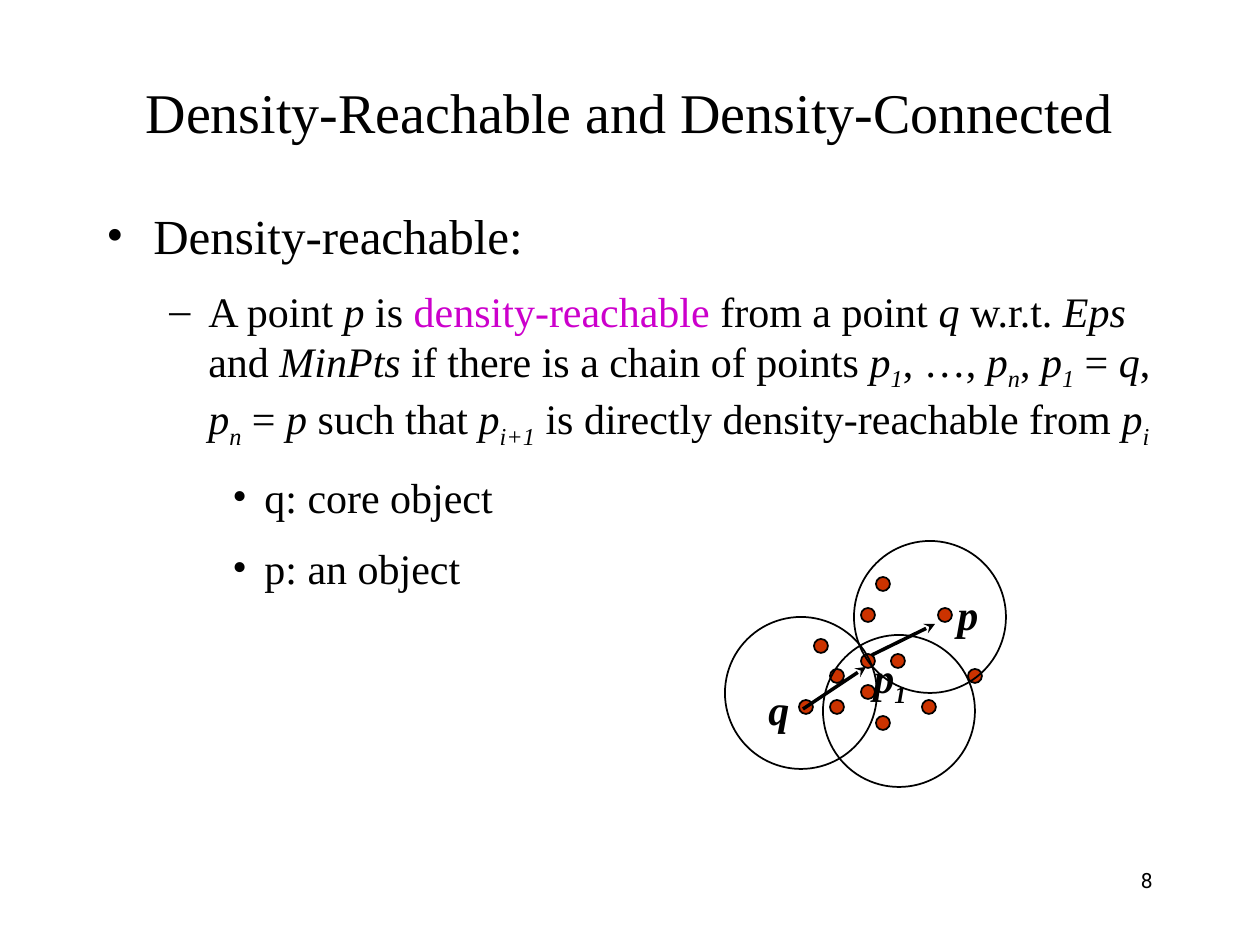
from dataclasses import dataclass

from lxml.etree import SubElement
from pptx import Presentation
from pptx.dml.color import RGBColor
from pptx.enum.shapes import MSO_CONNECTOR, MSO_SHAPE
from pptx.enum.text import MSO_ANCHOR, PP_ALIGN
from pptx.oxml.ns import qn
from pptx.util import Pt


@dataclass(frozen=True)
class Theme:
    ink: str = "000000"
    accent: str = "CC00CC"
    dot: str = "CC3300"
    serif: str = "Times New Roman"
    sans: str = "Roboto"
    title: int = 32
    heading: int = 28
    body: int = 24
    number: int = 12


THEME = Theme()
MARKS = {"*": "italic", "~": "sub", "^": "accent"}


def px(length):
    return round(length * 914400 / 126)


def split_marks(text):
    active, buffer = set(), ""
    for char in text:
        if char in MARKS:
            if buffer:
                yield buffer, set(active)
            active ^= {MARKS[char]}
            buffer = ""
        else:
            buffer += char
    if buffer:
        yield buffer, active


def write(p, text, size=THEME.body, font=THEME.serif, bold=False, align=PP_ALIGN.LEFT,
          spaced=False, bullet=None, level=0, margin=0, hanging=0):
    p.alignment, p.level = align, level
    pPr = p._p.get_or_add_pPr()
    if spaced:
        before = SubElement(pPr, qn("a:spcBef"))
        SubElement(before, qn("a:spcPct")).set("val", "50000")
    if bullet:
        pPr.set("marL", str(px(margin)))
        pPr.set("indent", str(-px(hanging)))
        SubElement(pPr, qn("a:buFont")).set("typeface", font)
        SubElement(pPr, qn("a:buChar")).set("char", bullet)
    for part, marks in split_marks(text):
        r = p.add_run()
        r.text = part
        r.font.size, r.font.name = Pt(size), font
        r.font.bold, r.font.italic = bold, "italic" in marks
        color = THEME.accent if "accent" in marks else THEME.ink
        r.font.color.rgb = RGBColor.from_string(color)
        if "sub" in marks:
            r.font._element.set("baseline", "-25000")


class SlideBuilder:
    """Draws text, circles and arrows on the current slide in one theme."""

    def __init__(self, slide, theme):
        self.shapes, self.theme = slide.shapes, theme

    def text(self, x, y, w, h, *paragraphs, anchor=MSO_ANCHOR.TOP):
        tf = self.shapes.add_textbox(px(x), px(y), px(w), px(h)).text_frame
        tf.word_wrap, tf.vertical_anchor = True, anchor
        for i, (content, style) in enumerate(paragraphs):
            write(tf.add_paragraph() if i else tf.paragraphs[0], content, **style)

    def label(self, x, y, w, content):
        self.text(x, y, w, 63, (content, dict(bold=True, spaced=True)))

    def circle(self, x, y, size, fill=None):
        sp = self.shapes.add_shape(MSO_SHAPE.OVAL, px(x), px(y), px(size), px(size))
        sp.shadow.inherit = False
        if fill:
            sp.fill.solid()
            sp.fill.fore_color.rgb = RGBColor.from_string(fill)
        else:
            sp.fill.background()
        sp.line.color.rgb = RGBColor.from_string(self.theme.ink)
        sp.line.width = Pt(1)

    def arrow(self, x1, y1, x2, y2):
        line = self.shapes.add_connector(
            MSO_CONNECTOR.STRAIGHT, px(x1), px(y1), px(x2), px(y2))
        line.line.color.rgb = RGBColor.from_string(self.theme.ink)
        line.line.width = Pt(2)
        SubElement(line.line._get_or_add_ln(), qn("a:tailEnd")).set("type", "stealth")
        SubElement(line._element.spPr, qn("a:effectLst"))


def main():
    prs = Presentation()
    prs.slide_width, prs.slide_height = px(1260), px(945)
    s = SlideBuilder(prs.slides.add_slide(prs.slide_layouts[6]), THEME)

    s.text(0, 53, 1260, 116, ("Density-Reachable and Density-Connected",
                              dict(size=THEME.title, align=PP_ALIGN.CENTER)),
           anchor=MSO_ANCHOR.MIDDLE)

    definition = (
        "A point *p* is ^density-reachable^ from a point *q *w.r.t. *Eps *and *MinPts* "
        "if there is a chain of points *p~1~*, …, *p~n~*, *p~1~* = *q*, *p~n~* = *p* "
        "such that *p~i+1~* is directly density-reachable from *p~i~*")
    item = dict(spaced=True, bullet="•", level=2, margin=158, hanging=32)
    s.text(94, 199, 1072, 693,
           ("Density-reachable:", dict(size=THEME.heading, spaced=True, bullet="•",
                                       margin=47, hanging=47)),
           (definition, dict(spaced=True, bullet="–", level=1, margin=102, hanging=39)),
           ("q: core object", item),
           ("p: an object", item))

    dots = [(1, 4), (4, 5), (4, 2), (0, 8), (2, 6), (2, 8), (5, 9),
            (5, 0), (11, 6), (9, 2), (4, 7), (6, 5), (8, 8)]
    for column, row in dots:
        s.circle(799 + round(15.4 * column), 577 + round(15.4 * row), 14, THEME.dot)
    for x, y in [(823, 635), (725, 617), (854, 541)]:
        s.circle(x, y, 152)
    for x, y, w, content in [(945, 582, 53, "*p*"), (756, 677, 53, "*q*"),
                             (861, 645, 84, "*p~1~*")]:
        s.label(x, y, w, content)
    s.arrow(872, 655, 935, 624)
    s.arrow(803, 709, 866, 667)

    s.text(903, 861, 262, 63,
           ("8", dict(size=THEME.number, font=THEME.sans, align=PP_ALIGN.RIGHT)))
    prs.save("out.pptx")


if __name__ == "__main__":
    main()
